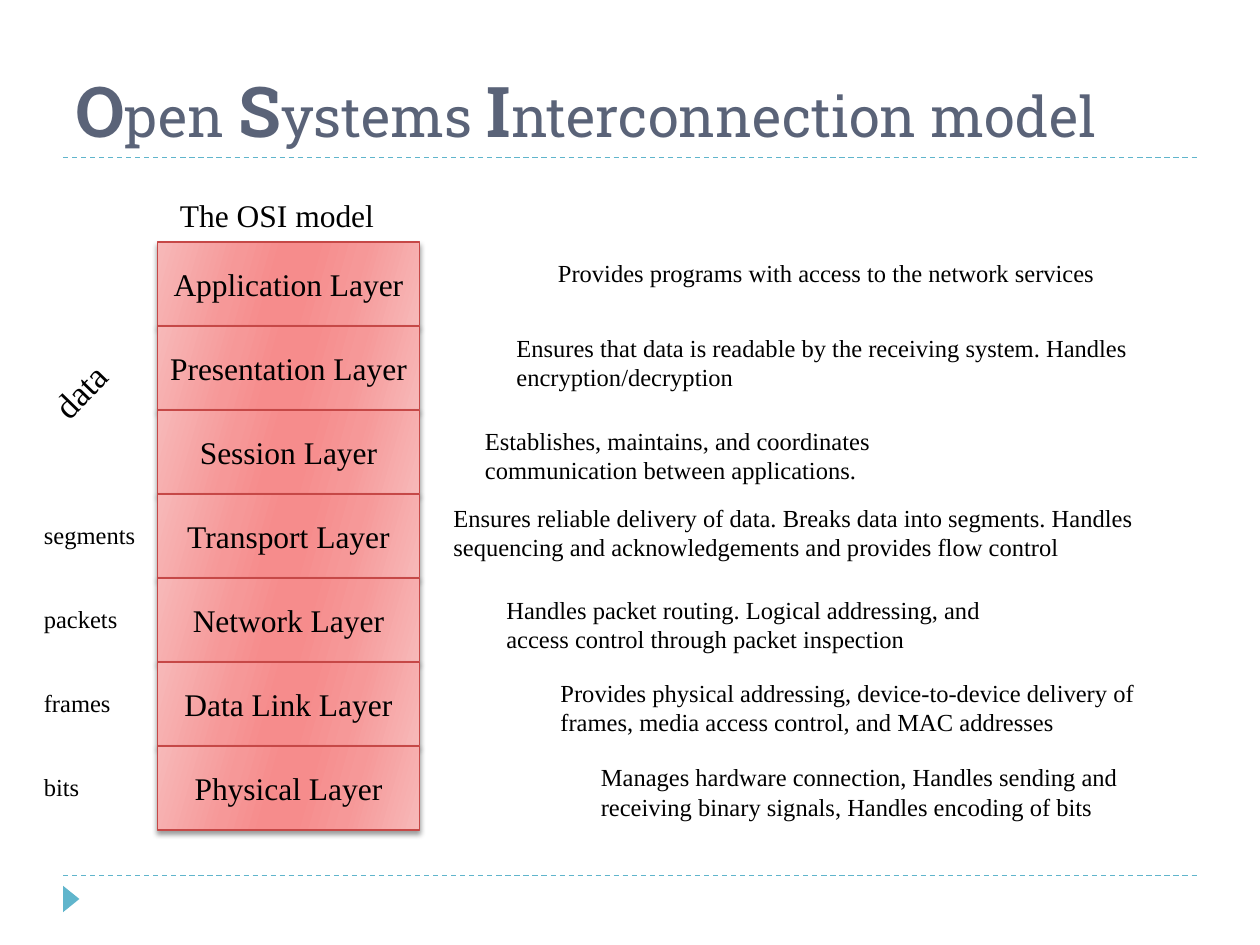
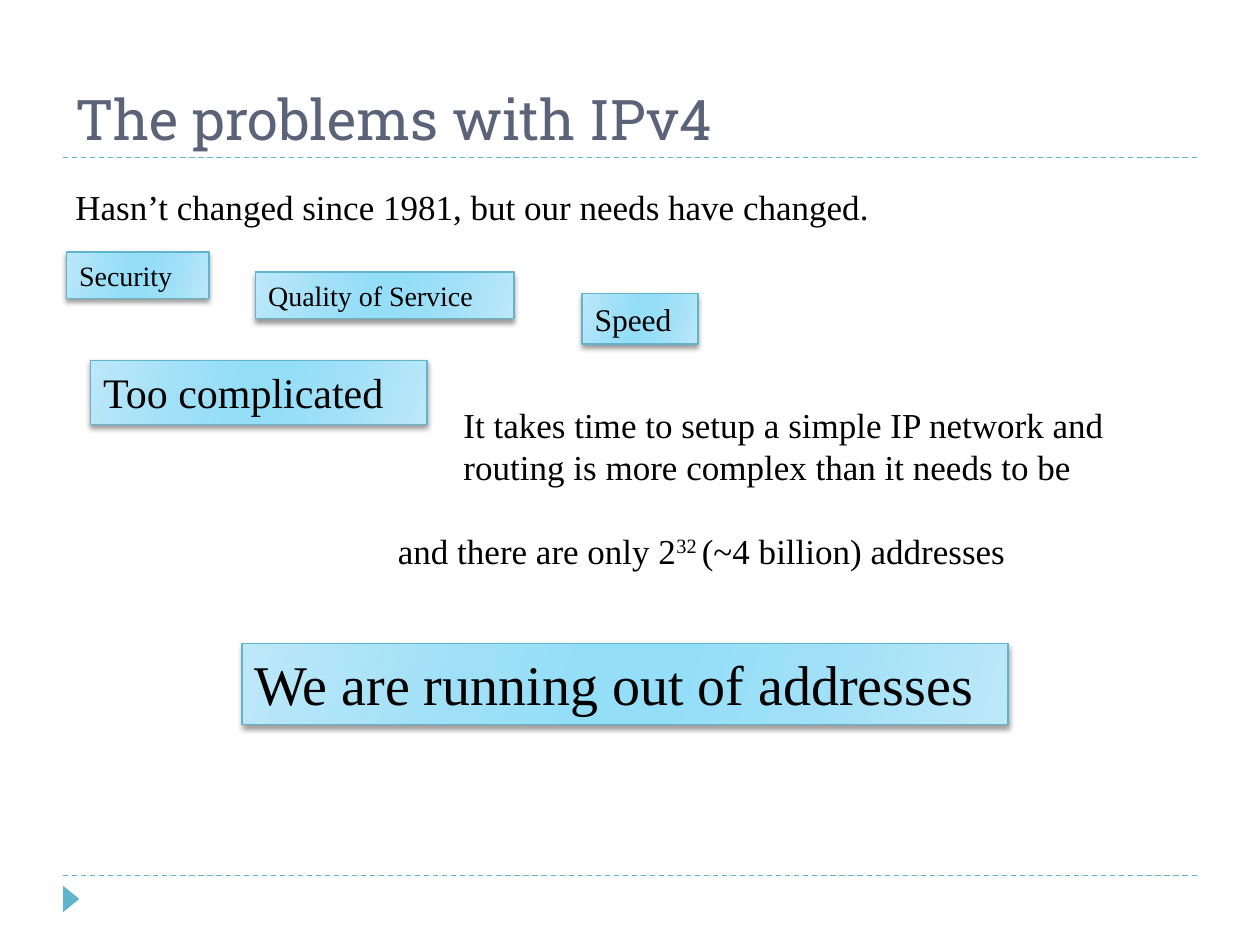
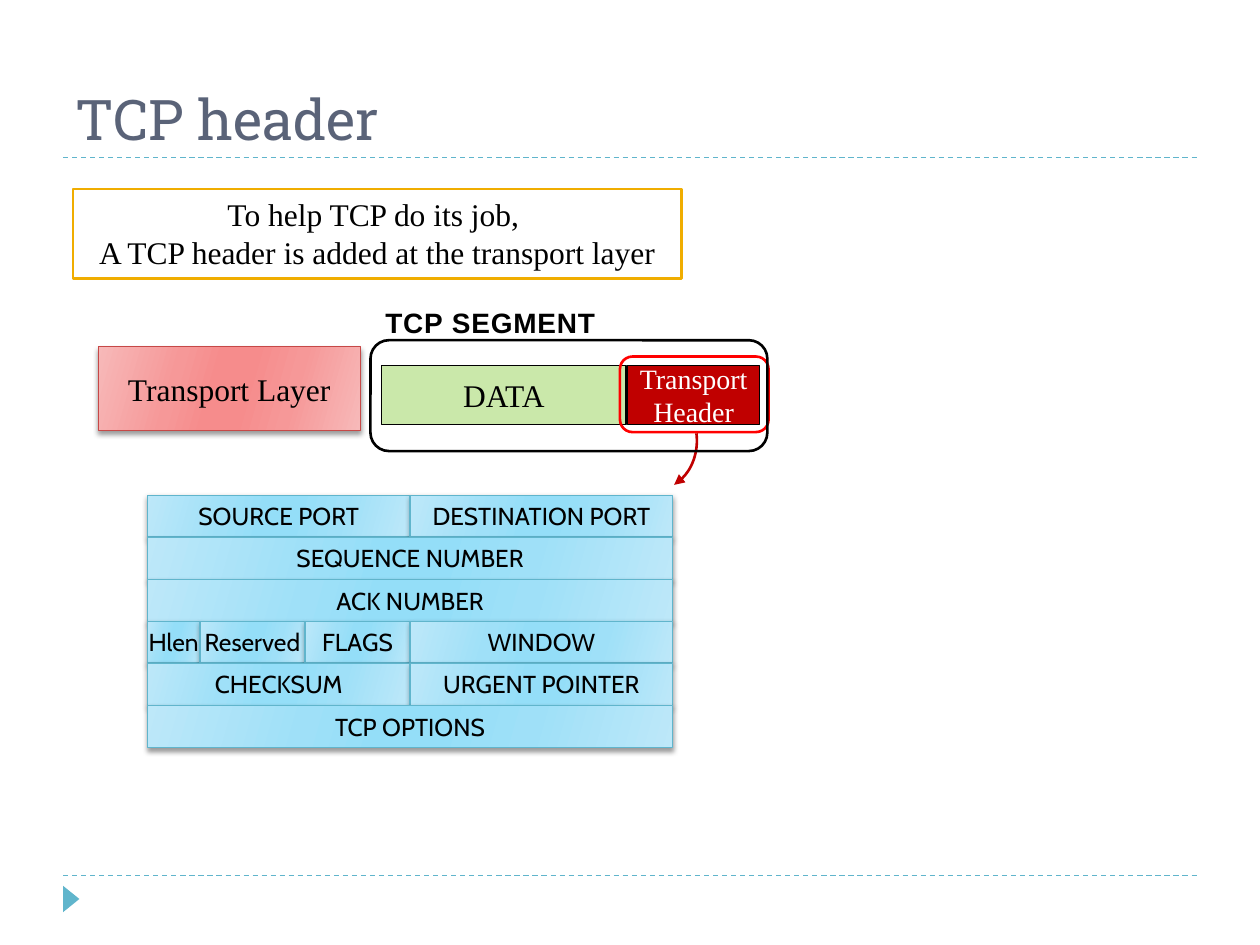
from lxml import etree
from pptx import Presentation
from pptx.dml.color import RGBColor
from pptx.enum.dml import MSO_LINE_DASH_STYLE as DASH
from pptx.enum.shapes import MSO_CONNECTOR as CONN, MSO_SHAPE as SHAPE
from pptx.enum.text import MSO_ANCHOR as ANCHOR, PP_ALIGN as ALIGN
from pptx.oxml import parse_xml
from pptx.oxml.ns import nsdecls, qn
from pptx.util import Inches, Pt

SERIF, TITLE_FONT, LABEL_FONT, FIELD_FONT = "Times New Roman", "Roboto Slab", "Arial", "Cabin"
BLACK, WHITE, TITLE, ACCENT = "000000", "FFFFFF", "5A6378", "60B5CC"
GOLD, GREEN, DARK_RED, RED, CHARCOAL = "F0AD00", "CAE8AA", "C00000", "FF0000", "1C1C1C"
STOPS = (0, 30, 45, 55, 73, 100)
LAYER = {"fill": ("F7B9B9", "F69898", "F68C8C"), "line": "C64847"}
NOTE = {"fill": ("BDE8F9", "9FE0F8", "94DEF8"), "line": ACCENT}
LAYER_W, LAYER_H = 2.08, 2 / 3

LAYERS = [
    ("Application Layer", None, (4.33, 2, 4.73, 0.34),
     "Provides programs with access to the network services"),
    ("Presentation Layer", None, (4, 2.59, 5.51, 0.57),
     "Ensures that data is readable by the receiving system. Handles encryption/decryption"),
    ("Session Layer", None, (3.75, 3.33, 3.92, 0.57),
     "Establishes, maintains, and coordinates communication between applications."),
    ("Transport Layer", "segments", (3.5, 3.94, 5.73, 0.57),
     "Ensures reliable delivery of data. Breaks data into segments. Handles sequencing and "
     "acknowledgements and provides flow control"),
    ("Network Layer", "packets", (3.92, 4.67, 4.08, 0.57),
     "Handles packet routing. Logical addressing, and access control through packet inspection"),
    ("Data Link Layer", "frames", (4.35, 5.33, 5.23, 0.57),
     "Provides physical addressing, device-to-device delivery of frames, media access control, "
     "and MAC addresses"),
    ("Physical Layer", "bits", (4.67, 6, 4.92, 0.57),
     "Manages hardware connection, Handles sending and receiving binary signals, "
     "Handles encoding of bits"),
]
PROBLEMS = [
    ("We are running out of addresses", (1.92, 5.11, 6.08, 0.64), 32),
    ("Too complicated", (0.72, 2.86, 2.67, 0.51), 24),
    ("Security", (0.53, 2, 1.13, 0.37), 16),
    ("Quality of Service", (2.03, 2.16, 2.05, 0.37), 16),
    ("Speed", (4.62, 2.33, 0.92, 0.4), 18),
]
HEADER_ROWS = [
    [("SOURCE PORT", 5), ("DESTINATION PORT", 5)],
    [("SEQUENCE NUMBER", 10)],
    [("ACK NUMBER", 10)],
    [("Hlen", 1), ("Reserved", 2), ("FLAGS", 2), ("WINDOW", 5)],
    [("CHECKSUM", 5), ("URGENT POINTER", 5)],
    [("TCP OPTIONS", 10)],
]


def rgb(value):
    """Turn a hex string into a colour."""
    return RGBColor.from_string(value)


def inches(at):
    """Turn a tuple of numbers into lengths."""
    return [Inches(v) for v in at]


def write(sp, paras, size, font=SERIF, color=BLACK, align=ALIGN.LEFT, **frame):
    """Write paragraphs, each a string or a list of (text, font settings)."""
    tf = sp.text_frame
    for key, value in {"word_wrap": True, "vertical_anchor": ANCHOR.TOP, **frame}.items():
        setattr(tf, key, value)
    for i, para in enumerate([paras] if isinstance(paras, str) else paras):
        p = tf.add_paragraph() if i else tf.paragraphs[0]
        p.alignment = align
        for text, extra in [(para, {})] if isinstance(para, str) else para:
            r = p.add_run()
            r.text = text
            r.font.color.rgb = rgb(color)
            for key, value in {"size": Pt(size), "name": font, **extra}.items():
                setattr(r.font, key, value)
    return sp


def add_text(shapes, at, paras, size, **fmt):
    """Add a text box."""
    return write(shapes.add_textbox(*inches(at)), paras, size, **fmt)


def add_box(shapes, at, fill=None, line=None, width=0.75, kind=SHAPE.RECTANGLE):
    """Add a shape; a tuple of fill colours gives a glossy gradient and a shadow."""
    sp = shapes.add_shape(kind, *inches(at))
    sp.shadow.inherit = False
    if isinstance(fill, tuple):
        add_gloss(sp, fill)
    elif fill:
        sp.fill.solid()
        sp.fill.fore_color.rgb = rgb(fill)
    else:
        sp.fill.background()
    if line:
        sp.line.color.rgb = rgb(line)
        sp.line.width = Pt(width)
    else:
        sp.line.fill.background()
    return sp


def add_gloss(sp, colors):
    """Give a shape a mirrored gradient and a soft shadow below."""
    sp.fill.gradient()
    spPr = sp._element.spPr
    grad = spPr.find(qn("a:gradFill"))
    stops = "".join(f'<a:gs pos="{pos * 1000}"><a:srgbClr val="{color}"/></a:gs>'
                    for pos, color in zip(STOPS, colors + colors[::-1]))
    grad.replace(grad.find(qn("a:gsLst")),
                 parse_xml(f'<a:gsLst {nsdecls("a")}>{stops}</a:gsLst>'))
    grad.find(qn("a:lin")).set("ang", "960000")
    spPr.find(qn("a:effectLst")).append(parse_xml(
        f'<a:outerShdw {nsdecls("a")} blurRad="38100" dist="25400" dir="5400000" '
        f'rotWithShape="0"><a:srgbClr val="{BLACK}"><a:alpha val="40000"/></a:srgbClr>'
        '</a:outerShdw>'))


def add_layer(shapes, left, top, name):
    """Add one block of the layer stack."""
    sp = add_box(shapes, (left, top, LAYER_W, LAYER_H), **LAYER)
    write(sp, name, 18, align=ALIGN.CENTER, vertical_anchor=ANCHOR.MIDDLE)


def add_rule(shapes, y):
    """Add a dashed line across the slide."""
    ln = shapes.add_connector(CONN.STRAIGHT, *inches((0.5, y, 9.5, y)))
    ln.line.color.rgb = rgb(ACCENT)
    ln.line.width = Pt(0.75)
    ln.line.dash_style = DASH.DASH
    etree.SubElement(ln._element.spPr, qn("a:effectLst"))


def add_slide(prs, title):
    """Add a slide with rules, corner marker and title; return its shapes."""
    shapes = prs.slides.add_slide(prs.slide_layouts[6]).shapes
    for y in (6.95, 1.25):
        add_rule(shapes, y)
    marker = add_box(shapes, (0.46, 7.07, 0.21, 0.13), ACCENT, kind=SHAPE.ISOSCELES_TRIANGLE)
    marker.rotation = 90
    add_text(shapes, (0.5, 0.17, 9.42, 1.08), title, 32, font=TITLE_FONT, color=TITLE,
             vertical_anchor=ANCHOR.BOTTOM)
    return shapes


def add_header_table(shapes, left, top, width, row_h):
    """Add the grouped header fields, sized in tenths of the width."""
    fields = shapes.add_group_shape().shapes
    for i, row in enumerate(HEADER_ROWS):
        start = 0
        for name, tenths in row:
            sp = add_box(fields, (left + start * width / 10, top + i * row_h,
                                  tenths * width / 10, row_h), **NOTE)
            side = Inches(0.1 if tenths >= 5 else 0)
            write(sp, name, 14, font=FIELD_FONT, align=ALIGN.CENTER,
                  vertical_anchor=ANCHOR.MIDDLE, margin_left=side, margin_right=side,
                  margin_top=0, margin_bottom=0)
            start += tenths


def add_arc_arrow(shapes):
    """Add the curved arrow from the transport header to its fields."""
    sp = add_box(shapes, (4.75, 3.12, 0.83, 0.73), None, DARK_RED, 1.5, SHAPE.ARC)
    sp.rotation = 82.9
    sp.adjustments[0], sp.adjustments[1] = 162, 204.08
    etree.SubElement(sp._element.spPr.find(qn("a:ln")), qn("a:tailEnd"), type="triangle")


def add_segment_label(shapes):
    """Add the spaced, outlined segment label."""
    sp = add_text(shapes, (2.96, 2.38, 2.06, 0.37), [[("TCP SEGMENT", {"bold": True})]], 16,
                  font=LABEL_FONT)
    rPr = sp.text_frame.paragraphs[0].runs[0]._r.get_or_add_rPr()
    rPr.set("spc", "50")
    rPr.insert(0, parse_xml(f'<a:ln {nsdecls("a")} w="11430"><a:solidFill>'
                            f'<a:srgbClr val="{CHARCOAL}"/></a:solidFill></a:ln>'))


def osi_slide(prs):
    """Build the slide of the seven layers."""
    big = {"size": Pt(40), "bold": True}
    shapes = add_slide(prs, [[("O", big), ("pen ", {}), ("S", big), ("ystems ", {}),
                              ("I", big), ("nterconnection model", {})]])
    add_text(shapes, (1.33, 1.51, 2.11, 0.4), "The OSI model", 18)
    add_text(shapes, (0.28, 2.82, 0.83, 0.44), "data", 20).rotation = 314.3
    for i, (name, unit, at, duty) in enumerate(LAYERS):
        top = 1.92 + i * LAYER_H
        add_layer(shapes, 1.25, top, name)
        if unit:
            add_text(shapes, (0.25, top + 0.16, 1, 0.34), unit, 14)
        add_text(shapes, at, duty, 14)


def problems_slide(prs):
    """Build the slide of IPv4 problems."""
    shapes = add_slide(prs, "The problems with IPv4")
    for text, at, size in PROBLEMS:
        write(add_box(shapes, at, **NOTE), text, size)
    add_text(shapes, (0.5, 1.42, 7.33, 0.44),
             "Hasn’t changed since 1981, but our needs have changed.", 20)
    add_text(shapes, (3.58, 3.15, 5.58, 0.77),
             "It takes time to setup a simple IP network and routing is more complex "
             "than it needs to be", 20)
    count = add_text(shapes, (3.06, 4.15, 5.5, 0.44),
                     [[("and there are only 2", {}), ("32 ", {}),
                       ("(~4 billion) addresses", {})]], 20)
    exponent = count.text_frame.paragraphs[0].runs[1]
    exponent._r.get_or_add_rPr().set("baseline", "30000")


def header_slide(prs):
    """Build the slide of the TCP header."""
    shapes = add_slide(prs, "TCP header")
    write(add_box(shapes, (0.58, 1.5, 4.83, 0.71), WHITE, GOLD, 1.5),
          ["To help TCP do its job, ", "A TCP header is added at the transport layer"], 18,
          align=ALIGN.CENTER)
    add_layer(shapes, 0.78, 2.75, "Transport Layer")
    for text, left, width, fill, size, color in (
            (["Transport", "Header"], 4.98, 1.05, DARK_RED, 16, WHITE),
            ("DATA", 3.03, 1.94, GREEN, 18, BLACK)):
        write(add_box(shapes, (left, 2.9, width, 0.47), fill, BLACK), text, size, color=color,
              align=ALIGN.CENTER, vertical_anchor=ANCHOR.MIDDLE, word_wrap=False)
    add_box(shapes, (4.92, 2.83, 1.18, 0.6), None, RED, 1.5, SHAPE.ROUNDED_RECTANGLE)
    add_arc_arrow(shapes)
    add_box(shapes, (2.94, 2.7, 3.15, 0.88), None, BLACK, 1.5, SHAPE.ROUNDED_RECTANGLE)
    add_segment_label(shapes)
    add_header_table(shapes, 1.17, 3.93, 4.17, 1 / 3)


def main():
    """Build and save the presentation."""
    prs = Presentation()
    prs.slide_width, prs.slide_height = inches((10, 7.5))
    for build in (osi_slide, problems_slide, header_slide):
        build(prs)
    prs.save("out.pptx")


if __name__ == "__main__":
    main()
